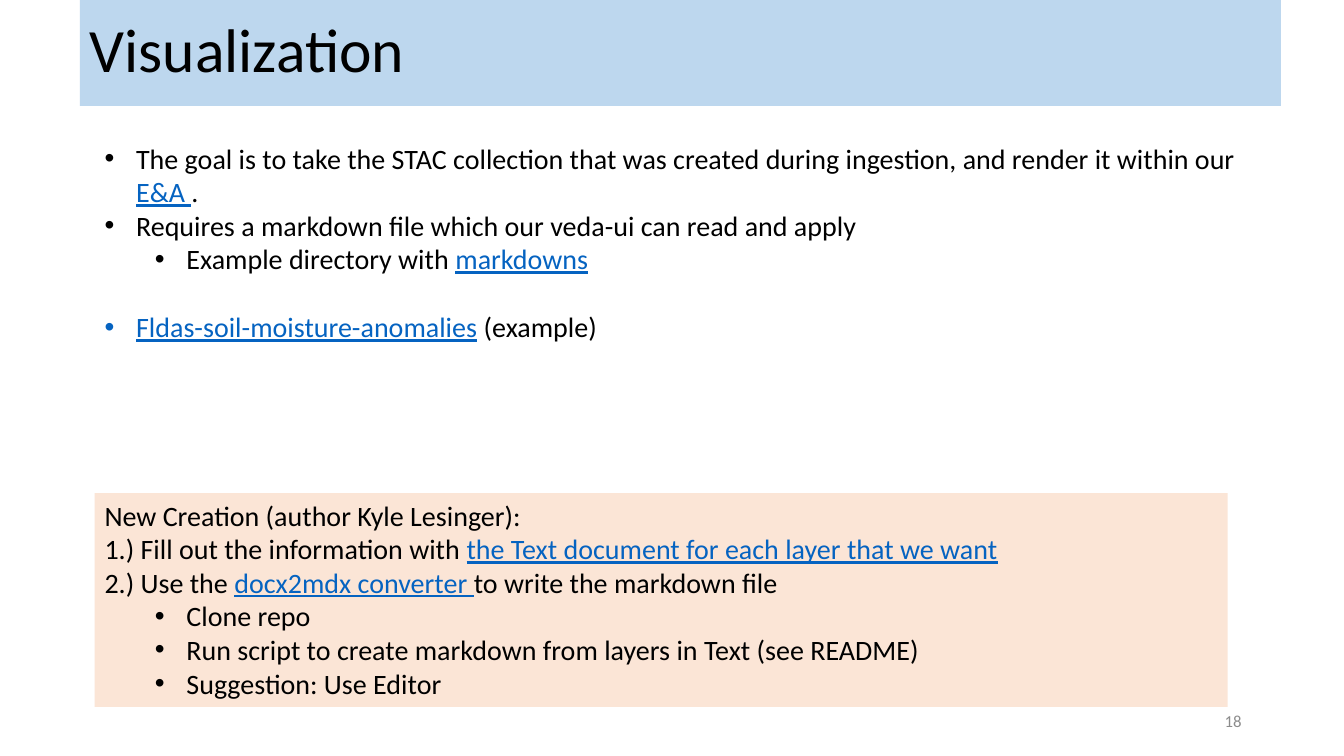
from lxml import etree
from pptx import Presentation
from pptx.dml.color import RGBColor
from pptx.enum.shapes import MSO_SHAPE
from pptx.enum.text import MSO_ANCHOR, PP_ALIGN
from pptx.oxml.ns import qn
from pptx.util import Pt

RECTANGLE = MSO_SHAPE.RECTANGLE
TOP, MIDDLE = MSO_ANCHOR.TOP, MSO_ANCHOR.MIDDLE
LEFT, RIGHT = PP_ALIGN.LEFT, PP_ALIGN.RIGHT
BLACK, GREY, LINK_BLUE = "000000", "8C8C8C", "0563C1"
TITLE_BLUE, NOTE_PEACH = "BDD7EE", "FBE5D6"
BULLET_HANG = 22.5
LEVEL_STEP = 36


def color(hex_text):
    return RGBColor.from_string(hex_text)


def add_panel(slide, left, top, width, height, fill=None, anchor=TOP):
    box = tuple(Pt(length) for length in (left, top, width, height))
    if fill:
        shape = slide.shapes.add_shape(RECTANGLE, *box)
        shape.shadow.inherit = False
        shape.fill.solid()
        shape.fill.fore_color.rgb = color(fill)
        shape.line.fill.background()
    else:
        shape = slide.shapes.add_textbox(*box)
    frame = shape.text_frame
    frame.word_wrap = True
    frame.vertical_anchor = anchor
    return frame


def add_bullet(paragraph, level):
    paragraph.level = level
    properties = paragraph._p.get_or_add_pPr()
    properties.set("marL", str(Pt(BULLET_HANG + LEVEL_STEP * level)))
    properties.set("indent", str(-Pt(BULLET_HANG)))
    etree.SubElement(properties, qn("a:buFont")).set("typeface", "Arial")
    etree.SubElement(properties, qn("a:buChar")).set("char", "•")


def add_run(paragraph, text, size=20, fill=BLACK, underline=False):
    run = paragraph.add_run()
    run.text = text
    run.font.name = "Calibri"
    run.font.size = Pt(size)
    run.font.color.rgb = color(fill)
    run.font.underline = underline


def add_text(frame, text, link="", tail="", level=None, align=LEFT,
             space_before=0, line_spacing=1.0, size=20, fill=BLACK):
    first = frame.paragraphs[0]
    paragraph = frame.add_paragraph() if first.runs else first
    if level is not None:
        add_bullet(paragraph, level)
    paragraph.alignment = align
    paragraph.line_spacing = line_spacing
    if space_before:
        paragraph.space_before = Pt(space_before)
    if text:
        add_run(paragraph, text, size, fill)
    if link:
        add_run(paragraph, link, size, LINK_BLUE, underline=True)
    if tail:
        add_run(paragraph, tail, size, fill)


def main():
    presentation = Presentation()
    presentation.slide_width = Pt(960)
    presentation.slide_height = Pt(540)
    slide = presentation.slides.add_slide(presentation.slide_layouts[6])

    title = add_panel(slide, 57, 0, 858, 75.6, TITLE_BLUE, MIDDLE)
    add_text(title, "Visualization", size=44, line_spacing=0.9)

    goals = add_panel(slide, 67.6, 97.2, 826, 174)
    add_text(goals, "The goal is to take the STAC collection that was created during "
             "ingestion, and render it within our ", "E&A ", ".", level=0)
    add_text(goals, "Requires a markdown file which our veda-ui can read and apply", level=0)
    add_text(goals, "Example directory with ", "markdowns", level=1)
    add_text(goals, "", "Fldas-soil-moisture-anomalies", " (example)", level=0,
             space_before=24.4)

    creation = add_panel(slide, 67.6, 352.2, 809.4, 152.8, NOTE_PEACH)
    add_text(creation, "New Creation (author Kyle Lesinger):")
    add_text(creation, "1.) Fill out the information with ",
             "the Text document for each layer that we want")
    add_text(creation, "2.) Use the ", "docx2mdx converter ", "to write the markdown file")
    for step in ("Clone repo",
                 "Run script to create markdown from layers in Text (see README)",
                 "Suggestion: Use Editor"):
        add_text(creation, step, level=1)

    number = add_panel(slide, 678, 500.5, 216, 28.8, anchor=MIDDLE)
    add_text(number, "18", size=12, fill=GREY, align=RIGHT)

    presentation.save("out.pptx")


if __name__ == "__main__":
    main()
